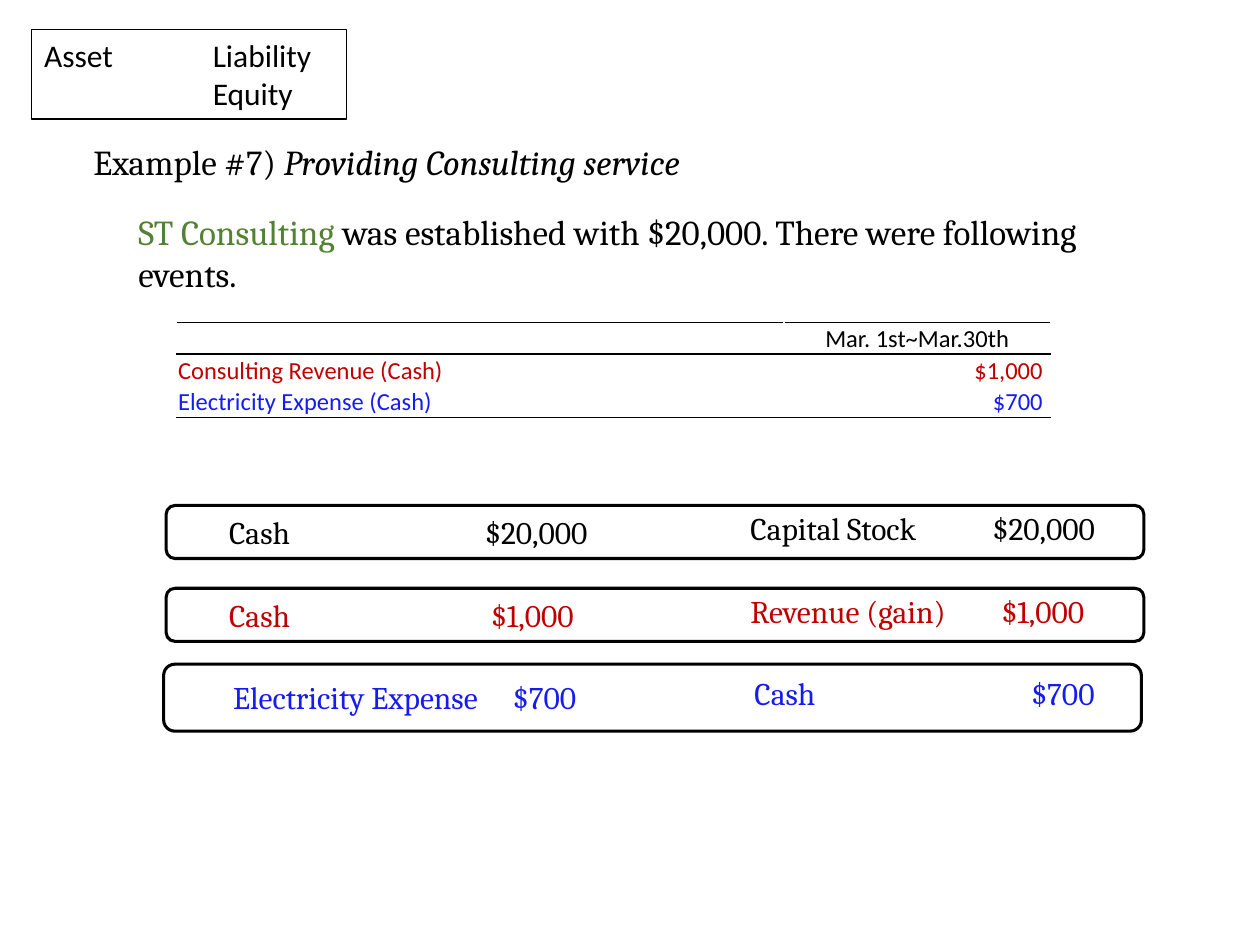
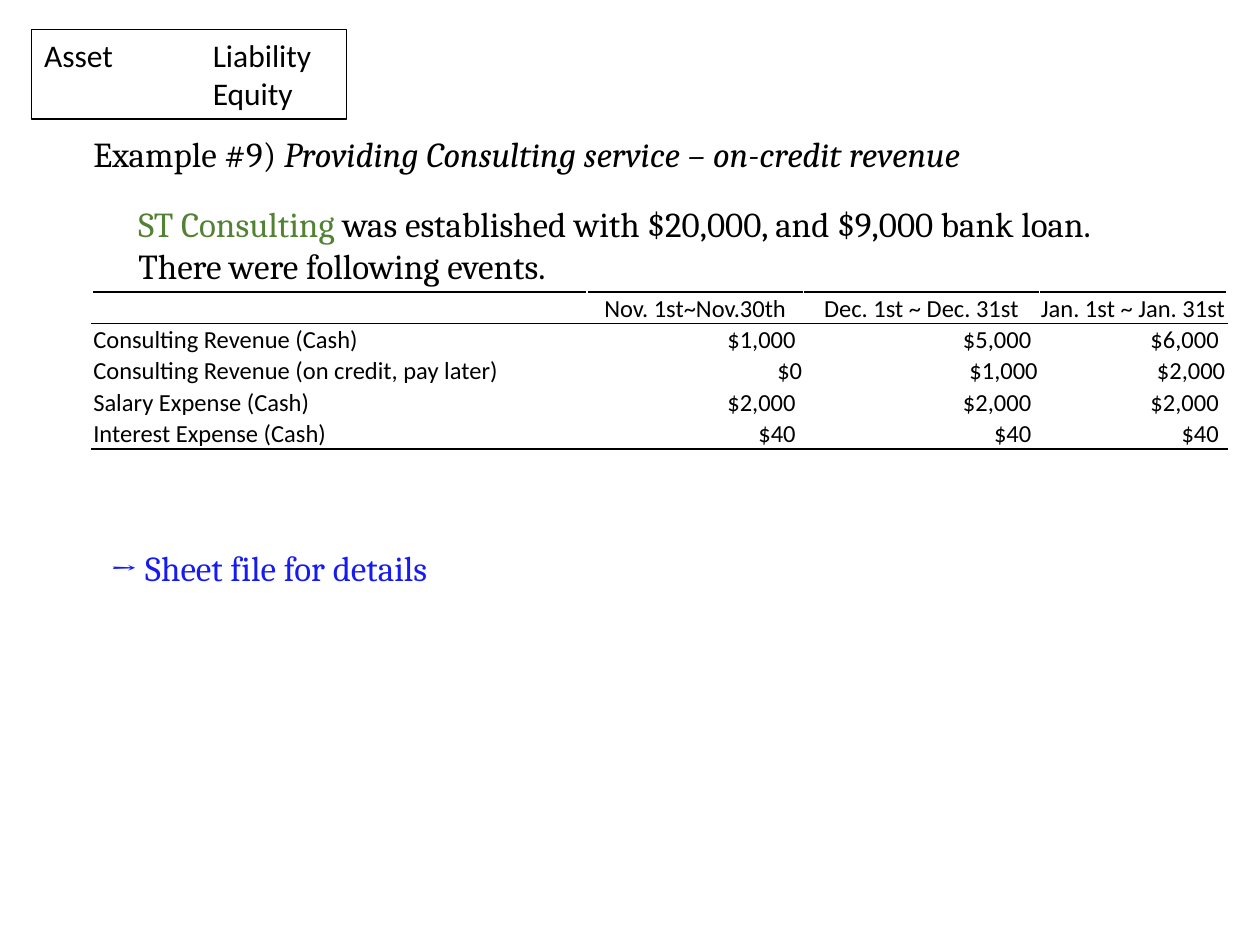
from dataclasses import dataclass
from itertools import accumulate

from lxml import etree
from pptx import Presentation
from pptx.dml.color import RGBColor
from pptx.enum import shapes, text
from pptx.oxml import ns
from pptx.util import Cm, Pt


@dataclass(frozen=True)
class Theme:
    black: str = "000000"
    white: str = "FFFFFF"
    green: str = "548235"
    red: str = "C00000"
    blue: str = "161BF2"
    serif: str = "Cambria"
    sans: str = "Calibri"
    heading: int = 20
    body: int = 18
    table: int = 14
    thin: float = 0.75
    rule: float = 1
    frame: float = 1.75


T = Theme()
INSET_X, INSET_Y = 0.25, 0.13
EQUATION = ["Asset\tLiability", "\tEquity"]
COMPANY = "ST Consulting "

EXAMPLES = [
    dict(
        top=2.7,
        title=("Example #7) ", "Providing Consulting service"),
        intro="was established with $20,000. There were following events.",
        table=dict(
            at=(3.56, 6.5), widths=[12.24, 5.38], row_height=0.64,
            header=["", "Mar. 1st~Mar.30th"],
            rows=[("Consulting Revenue (Cash)", ["$1,000"], T.red, 0.16),
                  ("Electricity Expense (Cash)", ["$700"], T.blue, 0.16)],
        ),
        entries=[
            dict(frame=(3.35, 10.19, 1.07), y=10.21, color=T.black, x=(4.37, 14.88),
                 sides=[("Cash\t$20,000", 5.16), ("Capital Stock\t$20,000", 4.88)]),
            dict(frame=(3.35, 11.86, 1.07), y=11.89, color=T.red, x=(4.37, 14.88),
                 sides=[("Cash\t$1,000", 5.28), ("Revenue (gain)\t$1,000", 5.06)]),
            dict(frame=(3.3, 13.39, 1.35), y=13.54, color=T.blue, x=(4.45, 14.96),
                 sides=[("Electricity Expense\t$700", 5.64), ("Cash\t$700", 5.58)]),
        ],
    ),
    dict(
        top=2.54,
        title=("Example #9) ", "Providing Consulting service – on-credit revenue"),
        intro="was established with $20,000, and $9,000 bank loan. There were following events.",
        table=dict(
            at=(1.85, 5.89), widths=[9.98, 4.37, 4.75, 3.78], row_height=0.62,
            header=["", "Nov. 1st~Nov.30th", "Dec. 1st ~ Dec. 31st", "Jan. 1st ~ Jan. 31st"],
            rows=[("Consulting Revenue (Cash)", ["$1,000", "$5,000", "$6,000"], T.black, 0.16),
                  ("Consulting Revenue (on credit, pay later)", ["$0", "$1,000", "$2,000"], T.black, 0.03),
                  ("Salary Expense (Cash)", ["$2,000"] * 3, T.black, 0.16),
                  ("Interest Expense (Cash)", ["$40"] * 3, T.black, 0.16)],
        ),
        closing="→ Sheet file for details",
    ),
]


def write(tf, paragraphs, size=T.body, font=T.serif, color=T.black,
          align=text.PP_ALIGN.LEFT, tab=None):
    for i, runs in enumerate(paragraphs):
        p = tf.paragraphs[0] if i == 0 else tf.add_paragraph()
        p.alignment = align
        if tab:
            tabs = etree.SubElement(p._p.get_or_add_pPr(), ns.qn("a:tabLst"))
            etree.SubElement(tabs, ns.qn("a:tab"), pos=str(Cm(tab)), algn="l")
        for words, style in [(runs, {})] if isinstance(runs, str) else runs:
            if not words:
                p._p.get_or_add_endParaRPr().set("sz", str(size * 100))
                continue
            r = p.add_run()
            r.text = words
            r.font.name, r.font.size = font, Pt(size)
            r.font.italic = style.get("italic", False)
            r.font.color.rgb = RGBColor.from_string(style.get("color", color))


def frame_text(tf):
    tf.word_wrap = True
    tf.auto_size = text.MSO_AUTO_SIZE.NONE
    tf.vertical_anchor = text.MSO_ANCHOR.TOP
    tf.margin_left = tf.margin_right = Cm(INSET_X)
    tf.margin_top = tf.margin_bottom = Cm(INSET_Y)
    return tf


def add_text(s, x, y, w, h, paragraphs, **style):
    sp = s.shapes.add_textbox(Cm(x), Cm(y), Cm(w), Cm(h))
    write(frame_text(sp.text_frame), paragraphs, **style)


def add_outline(s, kind, x, y, w, h, weight):
    sp = s.shapes.add_shape(kind, Cm(x), Cm(y), Cm(w), Cm(h))
    sp.shadow.inherit = False
    sp.fill.background()
    sp.line.color.rgb = RGBColor.from_string(T.black)
    sp.line.width = Pt(weight)
    return sp


def set_borders(cell, top, bottom):
    tcPr = cell._tc.get_or_add_tcPr()
    sides = [("L", T.white), ("R", T.white), ("T", top), ("B", bottom)]
    for i, (side, color) in enumerate(sides):
        ln = etree.Element(ns.qn(f"a:ln{side}"), w=str(Pt(T.rule)))
        fill = etree.SubElement(ln, ns.qn("a:solidFill"))
        etree.SubElement(fill, ns.qn("a:srgbClr"), val=color)
        tcPr.insert(i, ln)


def add_events(s, at, widths, row_height, header, rows):
    lines = [(header, T.black, 0.03)]
    lines += [([label, *amounts], color, pad) for label, amounts, color, pad in rows]
    last = len(lines) - 1
    tbl = s.shapes.add_table(len(lines), len(widths), Cm(at[0]), Cm(at[1]),
                             Cm(sum(widths)), Cm(row_height * len(lines))).table
    tbl.first_row = tbl.horz_banding = False
    for column, width in zip(tbl.columns, widths):
        column.width = Cm(width)
    for i, (values, color, pad) in enumerate(lines):
        tbl.rows[i].height = Cm(row_height)
        for j, value in enumerate(values):
            cell = tbl.cell(i, j)
            cell.fill.background()
            cell.vertical_anchor = text.MSO_ANCHOR.MIDDLE
            cell.margin_left = cell.margin_top = Cm(0.03)
            cell.margin_right, cell.margin_bottom = Cm(pad if j else 0.03), 0
            align = text.PP_ALIGN.LEFT
            if j:
                align = text.PP_ALIGN.RIGHT if i else text.PP_ALIGN.CENTER
            write(cell.text_frame, [value], size=T.table, font=T.sans, color=color, align=align)
            set_borders(cell, T.black if i < 2 else T.white,
                        T.black if i in (0, last) else T.white)


def add_entry(s, frame, y, color, x, sides):
    left, top, height = frame
    add_outline(s, shapes.MSO_SHAPE.ROUNDED_RECTANGLE, left, top, 19.71, height, T.frame)
    for side_x, side_y, (words, tab) in zip(x, (y, y - 0.08), sides):
        add_text(s, side_x, side_y, 8.7, 1.02, [words], color=color, tab=tab)


def build_example(prs, top, title, intro, table, entries=(), closing=None):
    s = prs.slides.add_slide(prs.slide_layouts[5])
    sp = s.shapes.title
    sp.left, sp.top, sp.width, sp.height = Cm(1.63), Cm(top), Cm(22.53), Cm(1.2)
    number, topic = title
    write(frame_text(sp.text_frame), [[(number, {}), (topic, {"italic": True})]], size=T.heading)

    sp = add_outline(s, shapes.MSO_SHAPE.RECTANGLE, 0.64, 0.6, 6.35, 1.8, T.thin)
    write(frame_text(sp.text_frame), EQUATION, font=T.sans, tab=3.4)

    add_text(s, 2.54, top + 1.41, 21, 2,
             [[(COMPANY, {"color": T.green}), (intro, {})]], size=T.heading)
    add_events(s, **table)
    for entry in entries:
        add_entry(s, **entry)
    if closing:
        add_text(s, 1.97, top + 8.35, 20, 1.2, [closing], size=T.heading, color=T.blue)


def main():
    prs = Presentation()
    prs.slide_width, prs.slide_height = Cm(25.4), Cm(19.05)
    for example in EXAMPLES:
        build_example(prs, **example)
    prs.save("out.pptx")


if __name__ == "__main__":
    main()
